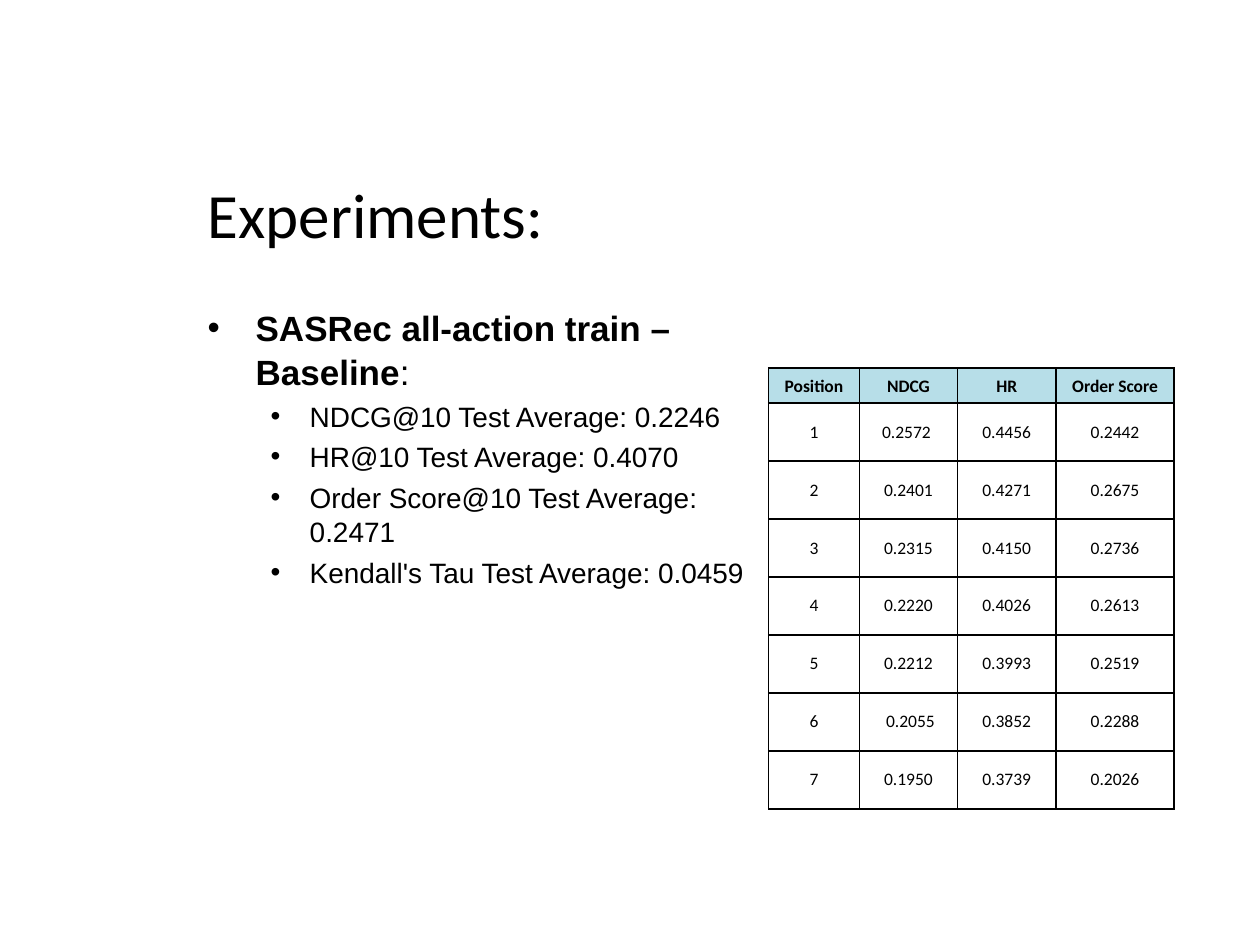
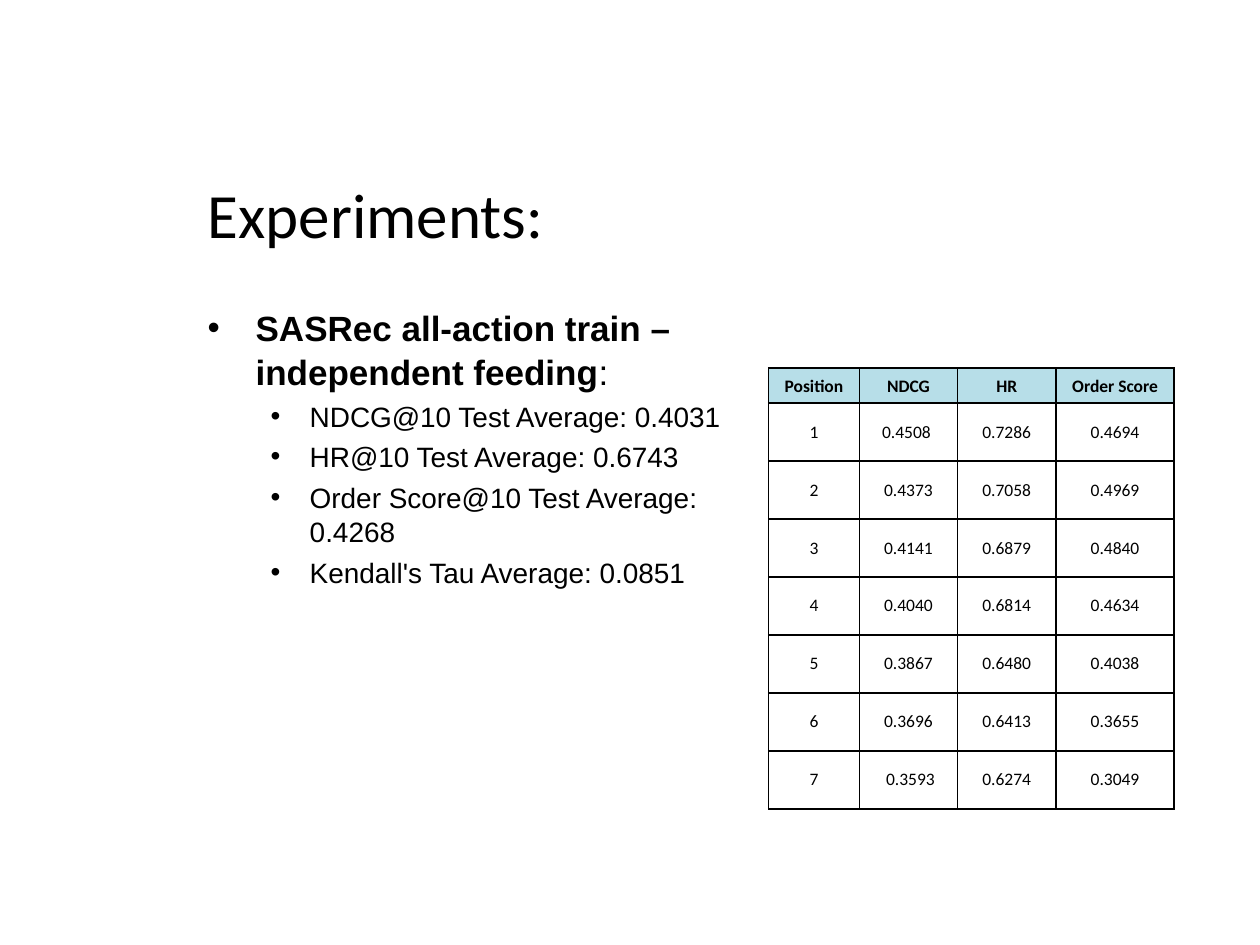
from lxml.etree import SubElement
from pptx import Presentation
from pptx.dml.color import RGBColor
from pptx.enum.text import MSO_ANCHOR, PP_ALIGN
from pptx.oxml.ns import qn
from pptx.util import Inches, Pt

COLORS = {"text": "000000", "border": "000000", "header": "B7DEE8", "cell": "FFFFFF"}
HEADERS = ["Position", "NDCG", "HR", "Order Score"]
COLUMN_WIDTHS = [0.72, 0.78, 0.78, 0.94]
HEADER_HEIGHT, ROW_HEIGHT = 0.28, 0.46

EXPERIMENTS = [
    {
        "heading": "SASRec all-action train – Baseline",
        "width": 4.55,
        "averages": [
            "NDCG@10 Test Average: 0.2246",
            "HR@10 Test Average: 0.4070",
            "Order Score@10 Test Average: 0.2471",
            "Kendall's Tau Test Average: 0.0459",
        ],
        "scores": [
            ["0.2572 ", "0.4456", "0.2442"],
            ["0.2401", "0.4271", "0.2675"],
            ["0.2315", "0.4150", "0.2736"],
            ["0.2220", "0.4026", "0.2613"],
            ["0.2212", "0.3993", "0.2519"],
            [" 0.2055", "0.3852", "0.2288"],
            ["0.1950", "0.3739", "0.2026"],
        ],
    },
    {
        "heading": "SASRec all-action train – independent feeding",
        "width": 4.45,
        "averages": [
            "NDCG@10 Test Average: 0.4031",
            "HR@10 Test Average: 0.6743",
            "Order Score@10 Test Average: 0.4268",
            "Kendall's Tau Average: 0.0851",
        ],
        "scores": [
            ["0.4508 ", "0.7286", "0.4694"],
            ["0.4373", "0.7058", "0.4969"],
            ["0.4141", "0.6879", "0.4840"],
            ["0.4040", "0.6814", "0.4634"],
            ["0.3867", "0.6480", "0.4038"],
            ["0.3696", "0.6413", "0.3655"],
            [" 0.3593", "0.6274", "0.3049"],
        ],
    },
]


class Deck:
    def __init__(self):
        self.presentation = Presentation()
        self.presentation.slide_width = Inches(10)
        self.presentation.slide_height = Inches(7.5)
        self.slide = None

    def add_slide(self):
        self.slide = self.presentation.slides.add_slide(self.presentation.slide_layouts[6])

    def style_font(self, font, name, size):
        font.name = name
        font.size = Pt(size)
        font.color.rgb = RGBColor.from_string(COLORS["text"])

    def add_text_frame(self, left, top, width, height):
        shape = self.slide.shapes.add_textbox(
            Inches(left), Inches(top), Inches(width), Inches(height))
        shape.text_frame.word_wrap = True
        return shape.text_frame

    def add_title(self, text):
        frame = self.add_text_frame(1.55, 1.07, 7.95, 1.25)
        frame.vertical_anchor = MSO_ANCHOR.MIDDLE
        paragraph = frame.paragraphs[0]
        paragraph.text = text
        self.style_font(paragraph.font, "Calibri", 36)

    def style_bullet(self, paragraph, size, indent, hanging):
        properties = paragraph._p.get_or_add_pPr()
        properties.set("marL", str(Inches(indent)))
        properties.set("indent", str(-Inches(hanging)))
        SubElement(properties, qn("a:buFont"), typeface="Arial")
        SubElement(properties, qn("a:buChar"), char="•")
        paragraph.line_spacing = 1.04
        paragraph.space_before = Pt(size * 0.2)
        self.style_font(paragraph.font, "Arial", size)

    def add_summary(self, heading, averages, width):
        frame = self.add_text_frame(1.55, 2.37, width, 4.33)
        paragraph = frame.paragraphs[0]
        self.style_bullet(paragraph, 20, 0.38, 0.38)
        for text, bold in ((heading, True), (":", False)):
            run = paragraph.add_run()
            run.text = text
            run.font.bold = bold
        for average in averages:
            paragraph = frame.add_paragraph()
            paragraph.text = average
            paragraph.level = 1
            self.style_bullet(paragraph, 16, 0.81, 0.31)

    def style_cell(self, cell, text, is_header):
        cell.text = text
        cell.margin_left = cell.margin_right = Inches(0.09)
        cell.margin_top = cell.margin_bottom = Inches(0.05)
        cell.vertical_anchor = MSO_ANCHOR.BOTTOM if is_header else MSO_ANCHOR.MIDDLE
        paragraph = cell.text_frame.paragraphs[0]
        paragraph.alignment = PP_ALIGN.CENTER
        paragraph.font.bold = is_header
        self.style_font(paragraph.font, "Calibri", 10)
        properties = cell._tc.get_or_add_tcPr()
        for side in ("lnL", "lnR", "lnT", "lnB"):
            line = SubElement(properties, qn(f"a:{side}"), w=str(Pt(1)))
            fill = SubElement(line, qn("a:solidFill"))
            SubElement(fill, qn("a:srgbClr"), val=COLORS["border"])
        cell.fill.solid()
        cell.fill.fore_color.rgb = RGBColor.from_string(COLORS["header" if is_header else "cell"])

    def add_score_table(self, scores):
        rows = [HEADERS] + [[str(position), *values] for position, values in enumerate(scores, 1)]
        heights = [HEADER_HEIGHT] + [ROW_HEIGHT] * len(scores)
        table = self.slide.shapes.add_table(
            len(rows), len(HEADERS), Inches(6.1), Inches(2.92),
            Inches(sum(COLUMN_WIDTHS)), Inches(sum(heights))).table
        table.first_row = table.horz_banding = False
        for column, width in zip(table.columns, COLUMN_WIDTHS):
            column.width = Inches(width)
        for row_index, (values, height) in enumerate(zip(rows, heights)):
            table.rows[row_index].height = Inches(height)
            for column_index, text in enumerate(values):
                self.style_cell(table.cell(row_index, column_index), text, row_index == 0)


def main():
    deck = Deck()
    for experiment in EXPERIMENTS:
        deck.add_slide()
        deck.add_title("Experiments:")
        deck.add_summary(experiment["heading"], experiment["averages"], experiment["width"])
        deck.add_score_table(experiment["scores"])
    deck.presentation.save("out.pptx")


if __name__ == "__main__":
    main()
